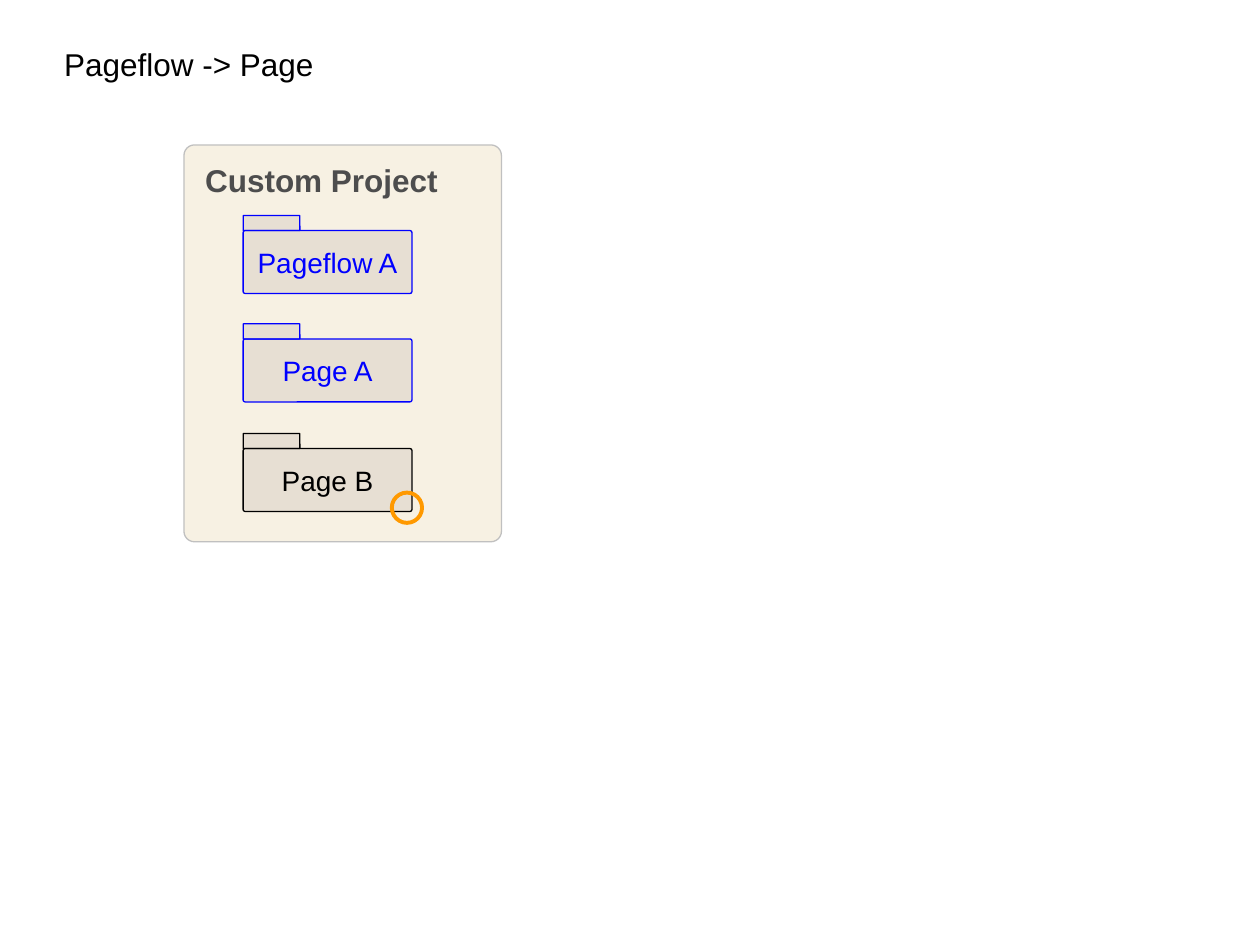
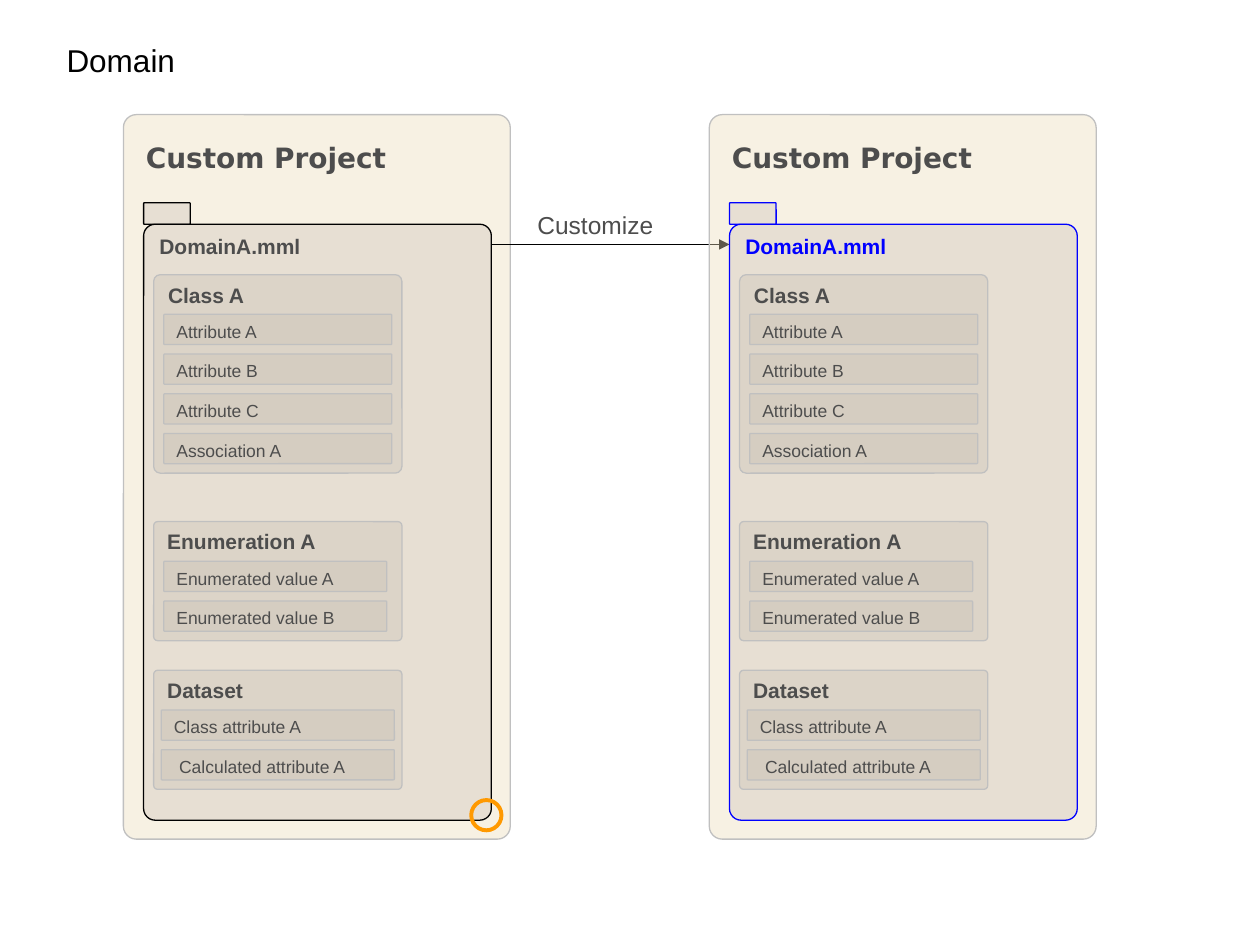
from lxml import etree
from pptx import Presentation
from pptx.dml.color import RGBColor
from pptx.enum import shapes, text
from pptx.oxml.ns import qn
from pptx.util import Inches, Pt

BLACK = RGBColor(0x00, 0x00, 0x00)
BLUE = RGBColor(0x00, 0x00, 0xFF)
GRAY = RGBColor(0x4D, 0x4D, 0x4D)
SILVER = RGBColor(0xC0, 0xC0, 0xC0)
ORANGE = RGBColor(0xFF, 0x99, 0x00)
CREAM = RGBColor(0xEC, 0xDE, 0xBB)
TAUPE = RGBColor(0xCA, 0xC0, 0xB6)

CORNER = 1 / 30
ROW_PITCH = 0.63 / 2
PROJECT_SHIFT = 4.65

# Element name, top, left inset and width of its rows, rows
DOMAIN_ELEMENTS = [
    ("Class A", 2.18, 0.08, 1.81,
     ["Attribute A", "Attribute B", "Attribute C", "Association A"]),
    ("Enumeration A", 4.14, 0.08, 1.77,
     ["Enumerated value A", "Enumerated value B"]),
    ("Dataset", 5.32, 0.06, 1.85,
     ["Class attribute A", "Calculated attribute A"]),
]


def write(sp, content, size=18, color=GRAY, bold=False, font="Arial",
          align=text.PP_ALIGN.LEFT, anchor=text.MSO_ANCHOR.TOP,
          wrap=False, indent=0):
    tf = sp.text_frame
    tf.word_wrap = wrap
    tf.vertical_anchor = anchor
    tf.margin_left = Inches(0.1 + indent)
    p = tf.paragraphs[0]
    p.alignment = align
    r = p.add_run()
    r.text = content
    r.font.name = font
    r.font.size = Pt(size)
    r.font.bold = bold
    r.font.color.rgb = color


def add_label(s, x, y, w, h, content, **fmt):
    sp = s.shapes.add_textbox(Inches(x), Inches(y), Inches(w), Inches(h))
    write(sp, content, **fmt)


def add_box(container, x, y, w, h, line=SILVER, fill=TAUPE, opacity=35):
    """Add a translucent rounded box to a slide's or a group's shapes."""
    sp = container.add_shape(shapes.MSO_SHAPE.ROUNDED_RECTANGLE,
                             Inches(x), Inches(y), Inches(w), Inches(h))
    sp.adjustments[0] = CORNER
    sp.shadow.inherit = False
    sp.fill.solid()
    sp.fill.fore_color.rgb = fill
    color = sp.fill._xPr.find(qn("a:solidFill"))[0]
    etree.SubElement(color, qn("a:alpha"), val=str(opacity * 1000))
    sp.line.color.rgb = line
    sp.line.width = Pt(0.75)
    return sp


def add_project(s, x, y, w, h):
    add_box(s.shapes, x, y, w, h, fill=CREAM, opacity=40)


def add_folder(s, x, y, w, h, tab_w, tab_h, line):
    """Draw a body with its tab on top and return the body."""
    group = s.shapes.add_group_shape().shapes
    body = add_box(group, x, y, w, h, line)
    add_box(group, x, y - tab_h, tab_w, tab_h, line)
    return body


def add_marker(s, x, y):
    sp = s.shapes.add_shape(shapes.MSO_SHAPE.OVAL, Inches(x), Inches(y),
                            Inches(0.24), Inches(0.24))
    sp.shadow.inherit = False
    sp.fill.background()
    sp.line.color.rgb = ORANGE
    sp.line.width = Pt(2.25)


def add_arrow(s, x1, y1, x2, y2):
    c = s.shapes.add_connector(shapes.MSO_CONNECTOR.STRAIGHT,
                               Inches(x1), Inches(y1), Inches(x2), Inches(y2))
    c.line.color.rgb = BLACK
    c.line.width = Pt(1)
    etree.SubElement(c.line._get_or_add_ln(), qn("a:tailEnd"), type="triangle")
    etree.SubElement(c._element.spPr, qn("a:effectLst"))


def add_domain_element(s, x, y, name, row_inset, row_w, rows):
    box = add_box(s.shapes, x, y, 1.97, ROW_PITCH * (len(rows) + 1))
    write(box, name, size=12, bold=True)
    for i, row in enumerate(rows, 1):
        sp = add_box(s.shapes, x + row_inset, y + i * ROW_PITCH, row_w, 0.24)
        indent = 0.04 if row.startswith("Calculated") else 0
        write(sp, row, size=10, indent=indent)


def add_domain_project(s, x, line, name_color):
    add_project(s, x, 0.91, 3.07, 5.75)
    add_label(s, x + 0.08, 1.07, 2.36, 0.37, "Custom Project", size=16,
              bold=True, font="DejaVu Sans", wrap=True)
    body = add_folder(s, x + 0.16, 1.78, 2.76, 4.73, 0.37, 0.17, line)
    write(body, "DomainA.mml", size=12, color=name_color, bold=True)
    for name, top, row_inset, row_w, rows in DOMAIN_ELEMENTS:
        add_domain_element(s, x + 0.24, top, name, row_inset, row_w, rows)


def build_pageflow(s):
    add_label(s, 0.41, 0.31, 2.18, 0.4, "Pageflow -> Page", color=BLACK)
    add_project(s, 1.46, 1.15, 2.52, 3.15)
    add_label(s, 1.53, 1.23, 2.36, 0.4, "Custom Project", bold=True, wrap=True)
    for name, top, color in [("Pageflow A", 1.83, BLUE),
                             ("Page A", 2.69, BLUE),
                             ("Page B", 3.56, BLACK)]:
        body = add_folder(s, 1.93, top, 1.34, 0.5, 0.45, 0.12, color)
        write(body, name, size=16, color=color, align=text.PP_ALIGN.CENTER,
              anchor=text.MSO_ANCHOR.MIDDLE)
    add_marker(s, 3.11, 3.91)


def build_domain(s):
    left = 0.98
    add_label(s, 0.43, 0.28, 1.06, 0.4, "Domain", color=BLACK)
    add_domain_project(s, left, BLACK, GRAY)
    add_label(s, 3.9, 1.62, 1.65, 0.33, "Customize", size=14,
              align=text.PP_ALIGN.CENTER, wrap=True)
    add_arrow(s, 3.9, 1.94, 5.79, 1.94)
    add_domain_project(s, left + PROJECT_SHIFT, BLUE, BLUE)
    add_marker(s, 3.74, 6.35)


def main():
    prs = Presentation()
    prs.slide_width, prs.slide_height = Inches(10), Inches(7.5)
    for build in (build_pageflow, build_domain):
        build(prs.slides.add_slide(prs.slide_layouts[6]))
    prs.save("out.pptx")


if __name__ == "__main__":
    main()
